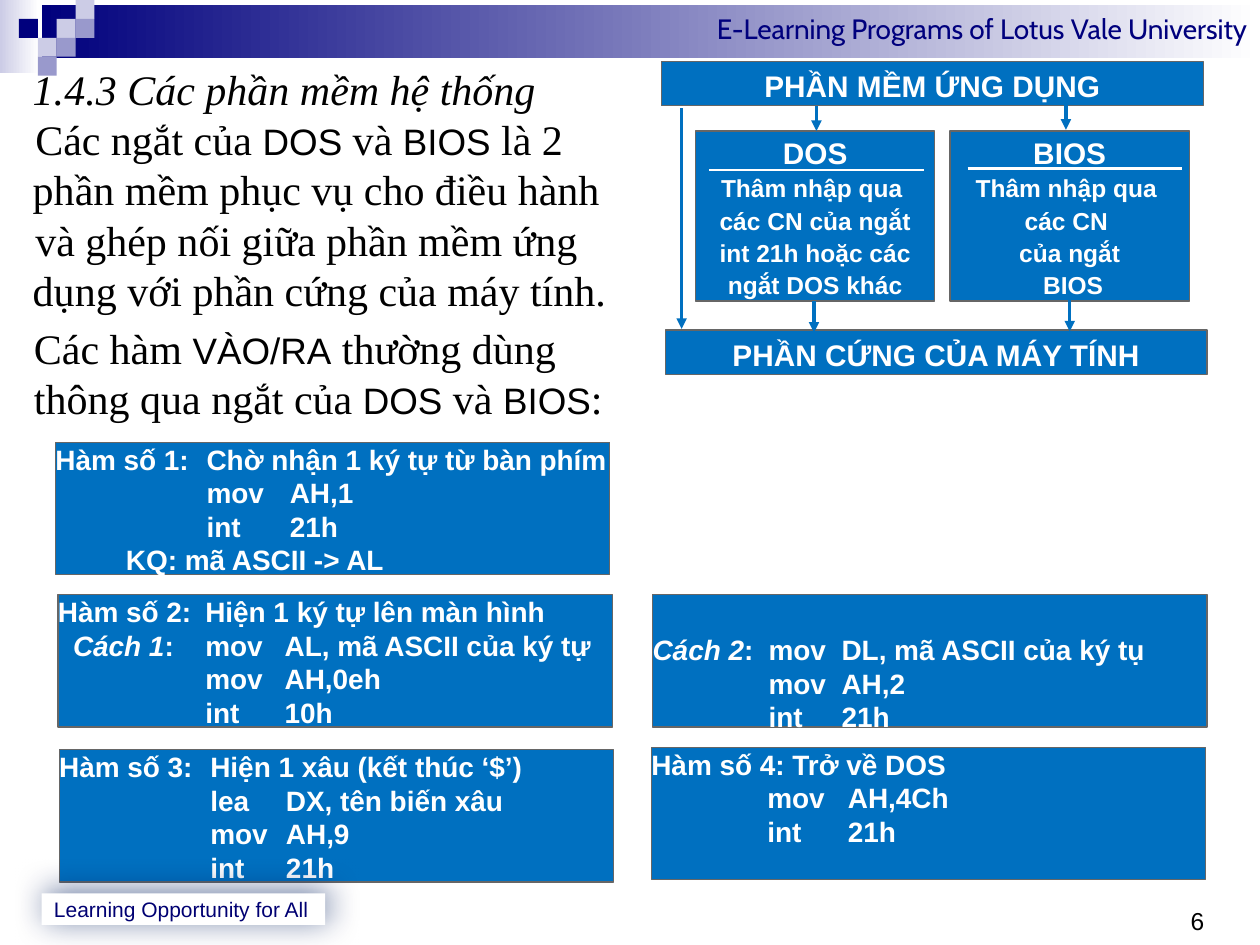
"""Build the slide on system software and DOS/BIOS interrupts."""
from dataclasses import dataclass
from typing import NamedTuple, Optional

from lxml.etree import SubElement
from pptx import Presentation
from pptx.dml.color import RGBColor
from pptx.enum.shapes import MSO_CONNECTOR, MSO_SHAPE
from pptx.enum.text import MSO_ANCHOR, MSO_AUTO_SIZE, PP_ALIGN
from pptx.oxml.ns import qn
from pptx.util import Inches, Pt

NAVY, LAVENDER, VIOLET = "00007D", "CCCCE6", "9999CC"
BLUE, GREY, WHITE, BLACK = "0070C0", "666666", "FFFFFF", "000000"
SERIF, SANS = "Times New Roman", "Arial"


class Box(NamedTuple):
    left: float
    top: float
    width: float
    height: float


class Piece(NamedTuple):
    text: str
    size: float = 24
    font: str = SERIF
    italic: bool = False


@dataclass
class BodyLine:
    pieces: list[Piece]
    margin: float = 0
    indent: float = 0.02
    space_before: float = 0


@dataclass
class CodeLine:
    text: str
    italic_lead: str = ""
    first_stop: Optional[float] = None


@dataclass
class CodeBox:
    box: Box
    stops: tuple[float, float]
    lines: list[CodeLine]
    top_inset: float = 0


@dataclass
class Arrow:
    x: float
    top: float
    bottom: float


def color(value: str) -> RGBColor:
    return RGBColor.from_string(value)


def format_run(run, size: float, font: str, tint: str, bold=False, italic=False) -> None:
    run.font.size, run.font.name = Pt(size), font
    run.font.bold, run.font.italic = bold, italic
    run.font.color.rgb = color(tint)


def add_box(slide, box: Box, fill: str, outline: Optional[str] = None, fade: Optional[str] = None):
    shape = slide.shapes.add_shape(MSO_SHAPE.RECTANGLE, *map(Inches, box))
    shape.shadow.inherit = False
    if fade:
        shape.fill.gradient()
        shape.fill.gradient_angle = 0
        for stop, tint in zip(shape.fill.gradient_stops, (fill, fade)):
            stop.color.rgb = color(tint)
    else:
        shape.fill.solid()
        shape.fill.fore_color.rgb = color(fill)
    if outline:
        shape.line.color.rgb = color(outline)
        shape.line.width = Pt(0.75)
    else:
        shape.line.fill.background()
    shape.text_frame.word_wrap = True
    shape.text_frame.vertical_anchor = MSO_ANCHOR.TOP
    return shape


def set_insets(text_frame, top: float = 0) -> None:
    text_frame.margin_left = text_frame.margin_right = text_frame.margin_bottom = 0
    text_frame.margin_top = Inches(top)


def write_lines(text_frame, lines: list[str], sizes: list[float], tint: str,
                align=PP_ALIGN.LEFT, font: str = SANS, bold=False, spacing: float = 1.0) -> None:
    text_frame.text = "\n".join(lines)
    for paragraph, size in zip(text_frame.paragraphs, sizes):
        paragraph.alignment, paragraph.line_spacing = align, spacing
        for run in paragraph.runs:
            format_run(run, size, font, tint, bold)


def add_line(slide, start: tuple[float, float], end: tuple[float, float],
             tint: str, width: float, arrow: bool = False) -> None:
    connector = slide.shapes.add_connector(MSO_CONNECTOR.STRAIGHT, *map(Inches, start + end))
    connector.line.color.rgb = color(tint)
    connector.line.width = Pt(width)
    if arrow:
        SubElement(connector.line._get_or_add_ln(), qn("a:tailEnd"), type="triangle")
    SubElement(connector._element.spPr, qn("a:effectLst"))


def add_header(slide) -> None:
    add_box(slide, Box(0, 0, 0.31, 0.58), LAVENDER, fade=WHITE)
    banner = add_box(slide, Box(0.33, 0.04, 9.67, 0.42), NAVY, fade=WHITE)
    write_lines(banner.text_frame, ["E-Learning Programs of Lotus Vale University"], [16], NAVY,
                PP_ALIGN.RIGHT, "Cabin")
    squares = [(3, 1, LAVENDER), (4, 0, LAVENDER), (4, 1, VIOLET), (2, 2, LAVENDER),
               (1, 1, NAVY), (3, 2, VIOLET), (2, 3, VIOLET)]
    for column, row, tint in squares:
        add_box(slide, Box(0.15 * column, 0.15 * row, 0.15, 0.15), tint)


def add_footer(slide) -> None:
    label = add_box(slide, Box(0.33, 7.09, 2.25, 0.25), WHITE)
    label.text_frame.vertical_anchor = MSO_ANCHOR.MIDDLE
    write_lines(label.text_frame, ["Learning Opportunity for All"], [12], "000072")
    shadow = SubElement(label._element.spPr.find(qn("a:effectLst")), qn("a:outerShdw"),
                        blurRad=str(Pt(19)), dist=str(Pt(3)), dir=str(315 * 60000))
    tint = SubElement(shadow, qn("a:srgbClr"), val="002060")
    SubElement(tint, qn("a:alpha"), val="56000")
    number = slide.shapes.add_textbox(*map(Inches, (9.45, 7.14, 0.3, 0.36))).text_frame
    set_insets(number, 0.05)
    number.word_wrap = True
    write_lines(number, ["6"], [14], BLACK)


def fill_body(placeholder, box: Box, lines: list[BodyLine]) -> None:
    placeholder.left, placeholder.top, placeholder.width, placeholder.height = map(Inches, box)
    text_frame = placeholder.text_frame
    text_frame.auto_size = MSO_AUTO_SIZE.NONE
    text_frame.vertical_anchor = MSO_ANCHOR.TOP
    text_frame.margin_right = Inches(0.3)
    for index, line in enumerate(lines):
        paragraph = text_frame.add_paragraph() if index else text_frame.paragraphs[0]
        paragraph.space_before = Pt(line.space_before)
        properties = paragraph._p.get_or_add_pPr()
        properties.set("marL", str(Inches(line.margin)))
        properties.set("indent", str(Inches(line.indent)))
        SubElement(properties, qn("a:buNone"))
        for piece in line.pieces:
            run = paragraph.add_run()
            run.text = piece.text
            format_run(run, piece.size, piece.font, BLACK, italic=piece.italic)


def add_code_box(slide, code: CodeBox) -> None:
    text_frame = add_box(slide, code.box, BLUE, GREY).text_frame
    set_insets(text_frame, code.top_inset)
    for index, line in enumerate(code.lines):
        paragraph = text_frame.add_paragraph() if index else text_frame.paragraphs[0]
        paragraph.alignment = PP_ALIGN.LEFT
        stops = code.stops if line.first_stop is None else (line.first_stop, *code.stops)
        tabs = SubElement(paragraph._p.get_or_add_pPr(), qn("a:tabLst"))
        for stop in stops:
            SubElement(tabs, qn("a:tab"), pos=str(Inches(stop)), algn="l")
        for text, italic in ((line.italic_lead, True), (line.text, False)):
            if text:
                run = paragraph.add_run()
                run.text = text
                format_run(run, 16, SANS, WHITE, True, italic)


def add_diagram(slide) -> None:
    for box, text in [(Box(5.25, 0.49, 4.3, 0.35), "PHẦN MỀM ỨNG DỤNG"),
                      (Box(5.28, 2.62, 4.3, 0.35), "PHẦN CỨNG CỦA MÁY TÍNH")]:
        write_lines(add_box(slide, box, BLUE, GREY).text_frame, [text], [17], WHITE,
                    PP_ALIGN.CENTER, bold=True)
    layers = [(5.52, ["DOS", "Thâm nhập qua ", "các CN của ngắt", "int 21h hoặc các", "ngắt DOS khác"]),
              (7.54, ["BIOS", "Thâm nhập qua ", "các CN ", "của ngắt", " BIOS"])]
    for left, lines in layers:
        text_frame = add_box(slide, Box(left, 1.04, 1.9, 1.35), BLUE, GREY).text_frame
        set_insets(text_frame)
        write_lines(text_frame, lines, [17, 14, 14, 14, 14], WHITE, PP_ALIGN.CENTER, bold=True, spacing=1.1)
    for left, y in ((5.63, 1.35), (7.68, 1.34)):
        add_line(slide, (left, y), (left + 1.7, y), WHITE, 1.5)
    for arrow in (Arrow(6.48, 0.84, 1.04), Arrow(6.46, 2.39, 2.64), Arrow(8.49, 2.38, 2.63),
                  Arrow(5.41, 0.86, 2.61), Arrow(8.46, 0.83, 1.03)):
        add_line(slide, (arrow.x, arrow.top), (arrow.x, arrow.bottom), BLUE, 2, True)


BODY = [
    BodyLine([Piece("1.4.3 Các phần mềm hệ thống", italic=True)], 0.38, -0.38),
    BodyLine([Piece("Các ngắt của "), Piece("DOS", 21, SANS), Piece(" và "), Piece("BIOS", 21, SANS),
              Piece(" là 2 phần mềm phục vụ cho điều hành")]),
    BodyLine([Piece("và ghép nối giữa phần mềm ứng dụng với phần cứng của máy tính.")]),
    BodyLine([Piece("Các hàm "), Piece("VÀO/RA", 21, SANS), Piece(" thường dùng")], 0, 0.01, 4),
    BodyLine([Piece("thông qua ngắt của "), Piece("DOS", 21, SANS), Piece(" và "),
              Piece("BIOS", 21, SANS), Piece(":")], 0, 0.01),
]
CODE_BOXES = [
    CodeBox(Box(0.44, 3.51, 4.4, 1.05), (1.2, 1.86), [
        CodeLine("Hàm số 1:\tChờ nhận 1 ký tự từ bàn phím"), CodeLine("\tmov\tAH,1"),
        CodeLine("\tint\t21h"), CodeLine("\tKQ: mã ASCII -> AL", first_stop=0.56)]),
    CodeBox(Box(0.46, 4.72, 4.4, 1.05), (1.17, 1.8), [
        CodeLine("Hàm số 2:\tHiện 1 ký tự lên màn hình"),
        CodeLine(":\tmov\tAL, mã ASCII của ký tự", "\tCách 1", 0.12),
        CodeLine("\tmov\tAH,0eh"), CodeLine("\tint\t10h")]),
    CodeBox(Box(5.18, 4.72, 4.4, 1.05), (0.92, 1.5), [
        CodeLine(":\tmov\tDL, mã ASCII của ký tụ", "Cách 2"),
        CodeLine("\tmov\tAH,2"), CodeLine("\tint\t21h")], 0.3),
    CodeBox(Box(0.47, 5.95, 4.4, 1.05), (1.2, 1.8), [
        CodeLine("Hàm số 3:\tHiện 1 xâu (kết thúc ‘$’)"), CodeLine("\tlea\tDX, tên biến xâu"),
        CodeLine("\tmov\tAH,9"), CodeLine("\tint\t21h")]),
    CodeBox(Box(5.17, 5.93, 4.4, 1.05), (0.92, 1.56), [
        CodeLine("Hàm số 4: Trở về DOS"), CodeLine("\tmov\tAH,4Ch"), CodeLine("\tint\t21h")]),
]


def main() -> None:
    presentation = Presentation()
    presentation.slide_width, presentation.slide_height = Inches(10), Inches(7.5)
    slide = presentation.slides.add_slide(presentation.slide_layouts[1])
    title = slide.shapes.title._element
    title.getparent().remove(title)
    add_header(slide)
    fill_body(slide.placeholders[1], Box(0.16, 0.45, 5.1, 2.97), BODY)
    add_diagram(slide)
    for code in CODE_BOXES:
        add_code_box(slide, code)
    add_footer(slide)
    presentation.save("out.pptx")


if __name__ == "__main__":
    main()
